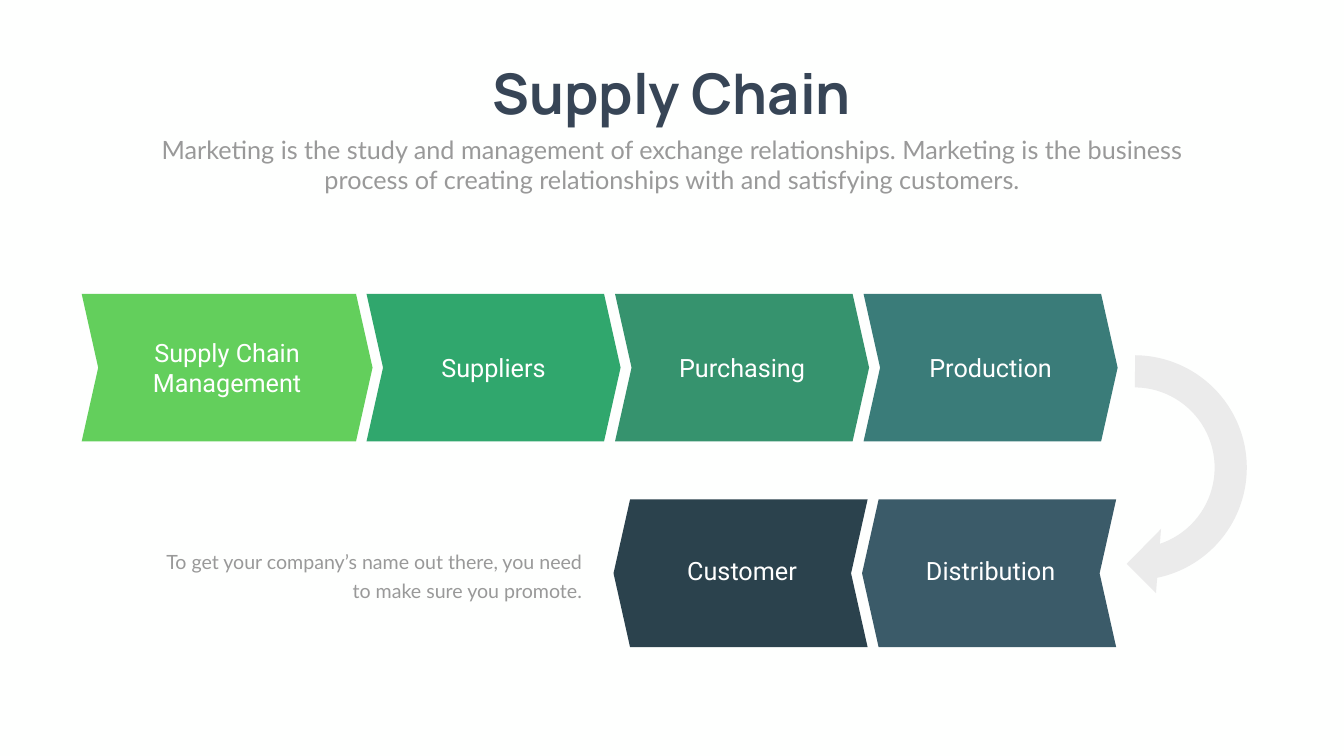
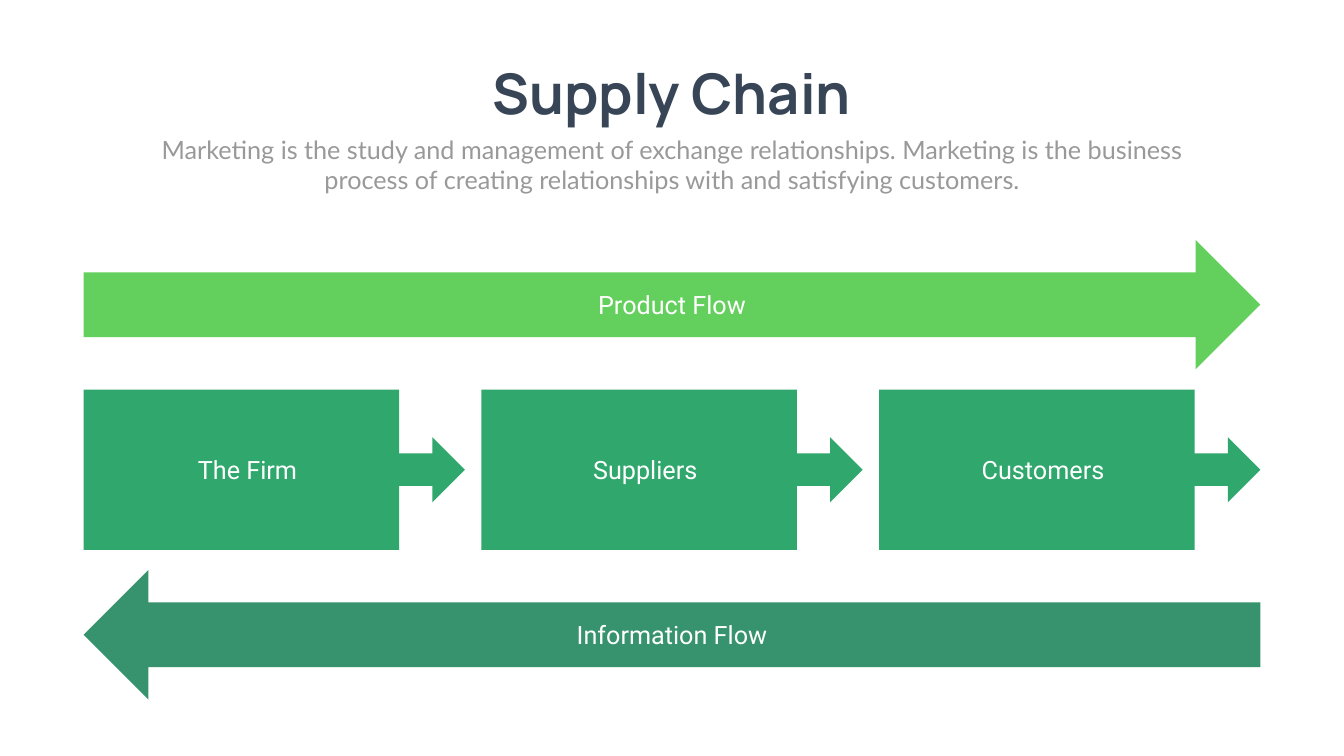
from pptx import Presentation
from pptx.dml.color import RGBColor
from pptx.enum.shapes import MSO_SHAPE
from pptx.enum.text import MSO_AUTO_SIZE, PP_ALIGN
from pptx.util import Inches, Pt

CHEVRON = MSO_SHAPE.CHEVRON
RECTANGLE = MSO_SHAPE.RECTANGLE
RIGHT_ARROW = MSO_SHAPE.RIGHT_ARROW
CIRCULAR_ARROW = MSO_SHAPE.CIRCULAR_ARROW
CENTER, RIGHT = PP_ALIGN.CENTER, PP_ALIGN.RIGHT
FIT_TEXT = MSO_AUTO_SIZE.SHAPE_TO_FIT_TEXT

# Colours
PAPER = RGBColor(0xFE, 0xFF, 0xFE)
NAVY = RGBColor(0x37, 0x45, 0x56)
GRAY = RGBColor(0x99, 0x99, 0x99)
WHITE = RGBColor(0xFF, 0xFF, 0xFF)
PALE = RGBColor(0xEB, 0xEB, 0xEB)
LIME = RGBColor(0x63, 0xCF, 0x5C)
GREEN = RGBColor(0x30, 0xA7, 0x6D)
FOREST = RGBColor(0x36, 0x93, 0x6E)
TEAL = RGBColor(0x3A, 0x7C, 0x79)
STEEL = RGBColor(0x3B, 0x5B, 0x69)
INK = RGBColor(0x2B, 0x42, 0x4D)

# Text formats
TITLE = {"name": "Manrope", "size": Pt(80), "bold": True}
SUBTITLE = {"name": "Lato", "size": Pt(36)}
LABEL = {"name": "Roboto", "size": Pt(36)}
NOTE = {"name": "Lato", "size": Pt(28)}

# Slide and grid, in inches
WIDTH, HEIGHT = 26.66, 15
LINE_HEIGHT, TEXT_MARGIN = 0.6, 0.11

# Process grid: a wide first step, then equal columns
START_LEFT, START_WIDTH = 1.62, 5.77
STEP_LEFT, STEP_PITCH, STEP_WIDTH, STEP_HEIGHT = 7.27, 4.93, 5.04, 2.93
FORWARD_TOP, RETURN_TOP = 5.83, 9.91
RETURN_SHIFT = -0.03
STEP_LABEL_WIDTH = 4.12
CHEVRON_POINT = (0.112,)
TURN_ANGLES = (0.125, 11.423, 204.577, 105.55, 0.125)

# Flow grid: three equal columns between two long arrows
FLOW_LEFT, FLOW_WIDTH, FLOW_HEIGHT = 1.66, 23.34, 2.57
PARTY_PITCH, PARTY_TOP, PARTY_WIDTH, PARTY_HEIGHT = 7.89, 7.73, 6.26, 3.18
POINTER_WIDTH, POINTER_HEIGHT = 2.23, 1.29
PARTY_LABEL_SHIFT = 0.12


def add_block(slide, kind, box, color, rotation=0, adjustments=()):
    shape = slide.shapes.add_shape(kind, *map(Inches, box))
    shape.shadow.inherit = False
    shape.fill.solid()
    shape.fill.fore_color.rgb = color
    shape.line.fill.background()
    shape.rotation = rotation
    for index, value in enumerate(adjustments):
        shape.adjustments[index] = value


def add_text(slide, text, box, style, color, align=CENTER, wrap=True, spacing=None):
    frame = slide.shapes.add_textbox(*map(Inches, box)).text_frame
    frame.word_wrap = wrap
    frame.auto_size = FIT_TEXT
    paragraph = frame.paragraphs[0]
    paragraph.alignment = align
    paragraph.line_spacing = spacing
    run = paragraph.add_run()
    run.text = text
    for name, value in style.items():
        setattr(run.font, name, value)
    run.font.color.rgb = color


def add_label(slide, text, center_x, center_y, width, lines=1, wrap=True):
    """Place a white label around a centre point."""
    height = lines * LINE_HEIGHT + TEXT_MARGIN
    box = (center_x - width / 2, center_y - height / 2, width, height)
    add_text(slide, text, box, LABEL, WHITE, wrap=wrap)


def add_titled_slide(presentation):
    slide = presentation.slides.add_slide(presentation.slide_layouts[6])
    slide.background.fill.solid()
    slide.background.fill.fore_color.rgb = PAPER
    add_text(slide, "Supply Chain", (9.37, 1.12, 7.91, 1.45), TITLE, NAVY, wrap=False)
    add_text(slide, "Marketing is the study and management of exchange relationships. "
             "Marketing is the business process of creating relationships with and "
             "satisfying customers.", (2.92, 2.61, 20.82, 1.31), SUBTITLE, GRAY)
    return slide


def add_step(slide, text, column, color, returning=False):
    left = STEP_LEFT + column * STEP_PITCH
    top = RETURN_TOP if returning else FORWARD_TOP
    shift = RETURN_SHIFT if returning else 0
    add_block(slide, CHEVRON, (left + shift, top, STEP_WIDTH, STEP_HEIGHT), color,
              180 if returning else 0, CHEVRON_POINT)
    label_rise = 0.05 if returning else 0
    add_label(slide, text, left + STEP_WIDTH / 2, top + STEP_HEIGHT / 2 - label_rise,
              STEP_LABEL_WIDTH)


def add_flow(slide, text, top, color, rotation=0):
    add_block(slide, RIGHT_ARROW, (FLOW_LEFT, top, FLOW_WIDTH, FLOW_HEIGHT), color, rotation)
    add_label(slide, text, WIDTH / 2, top + FLOW_HEIGHT / 2, 4.04, wrap=False)


def add_party(slide, text, column):
    left = FLOW_LEFT + column * PARTY_PITCH
    middle = PARTY_TOP + PARTY_HEIGHT / 2
    add_block(slide, RECTANGLE, (left, PARTY_TOP, PARTY_WIDTH, PARTY_HEIGHT), GREEN)
    pointer_left = left + PARTY_WIDTH - 0.93
    add_block(slide, RIGHT_ARROW, (pointer_left, middle - POINTER_HEIGHT / 2,
                                   POINTER_WIDTH, POINTER_HEIGHT), GREEN)
    add_label(slide, text, left + PARTY_WIDTH / 2 + PARTY_LABEL_SHIFT, middle, 2.68, wrap=False)


def build_process_slide(presentation):
    slide = add_titled_slide(presentation)
    # Forward row
    add_block(slide, CHEVRON, (START_LEFT, FORWARD_TOP, START_WIDTH, STEP_HEIGHT), LIME,
              adjustments=CHEVRON_POINT)
    add_label(slide, "Supply Chain Management", START_LEFT + START_WIDTH / 2,
              FORWARD_TOP + STEP_HEIGHT / 2, STEP_LABEL_WIDTH, lines=2)
    forward_steps = (("Suppliers", GREEN), ("Purchasing", FOREST), ("Production", TEAL))
    for column, (text, color) in enumerate(forward_steps):
        add_step(slide, text, column, color)
    # Return row
    for column, text, color in ((2, "Distribution", STEEL), (1, "Customer", INK)):
        add_step(slide, text, column, color, returning=True)
    # Turn between the rows, and the closing note
    add_block(slide, CIRCULAR_ARROW, (19.95, 6.73, 5.1, 5.1), PALE, 94.5, TURN_ANGLES)
    add_text(slide, "To get your company’s name out there, you need to make sure you promote.",
             (3.12, 10.77, 8.52, 1.19), NOTE, GRAY, RIGHT, spacing=Pt(40.8))


def build_flow_slide(presentation):
    slide = add_titled_slide(presentation)
    add_flow(slide, "Product Flow", 4.76, LIME)
    add_flow(slide, "Information Flow", 11.31, FOREST, rotation=180)
    for column, text in enumerate(("The Firm", "Suppliers", "Customers")):
        add_party(slide, text, column)


def main():
    presentation = Presentation()
    presentation.slide_width = Inches(WIDTH)
    presentation.slide_height = Inches(HEIGHT)
    build_process_slide(presentation)
    build_flow_slide(presentation)
    presentation.save("out.pptx")


if __name__ == "__main__":
    main()
